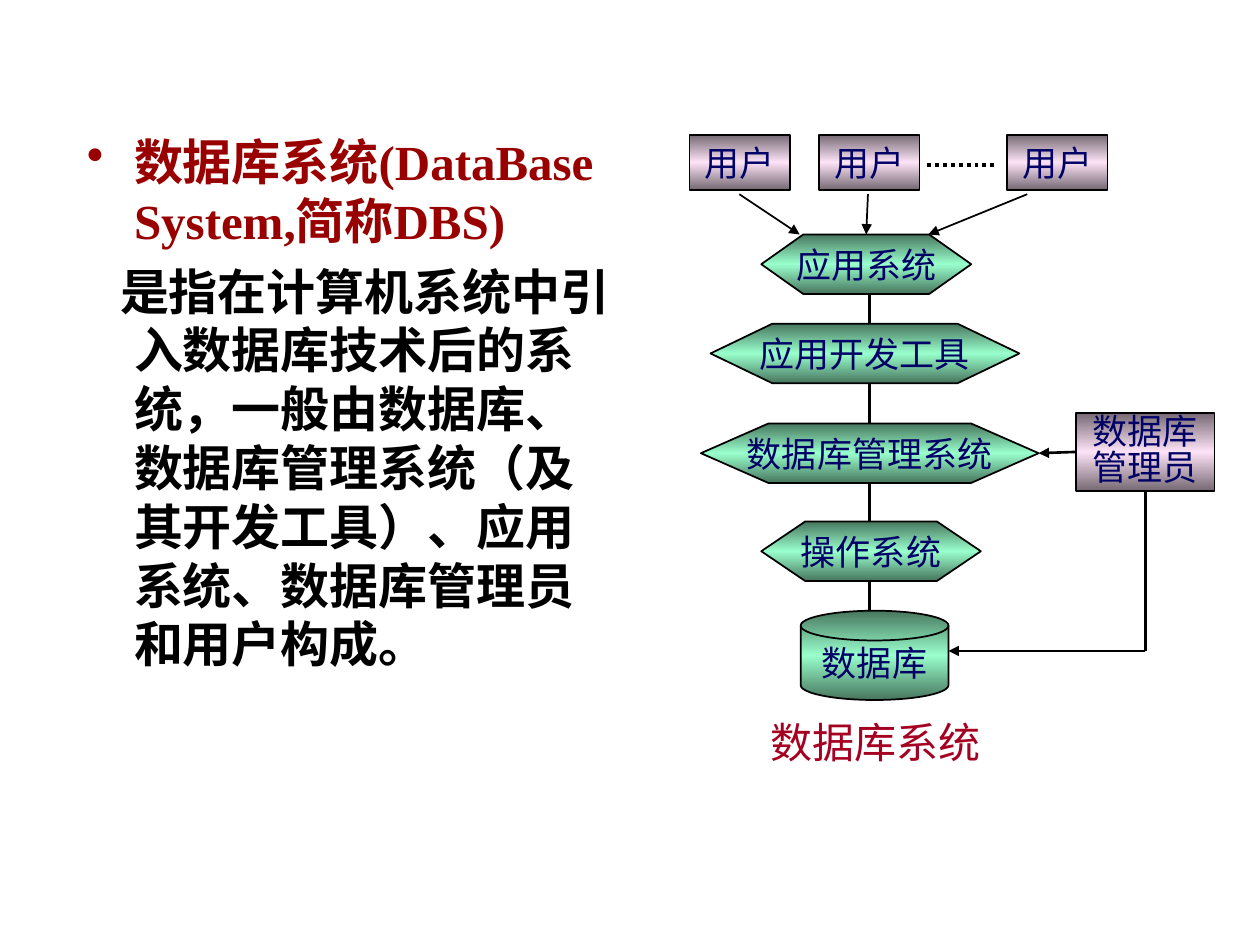
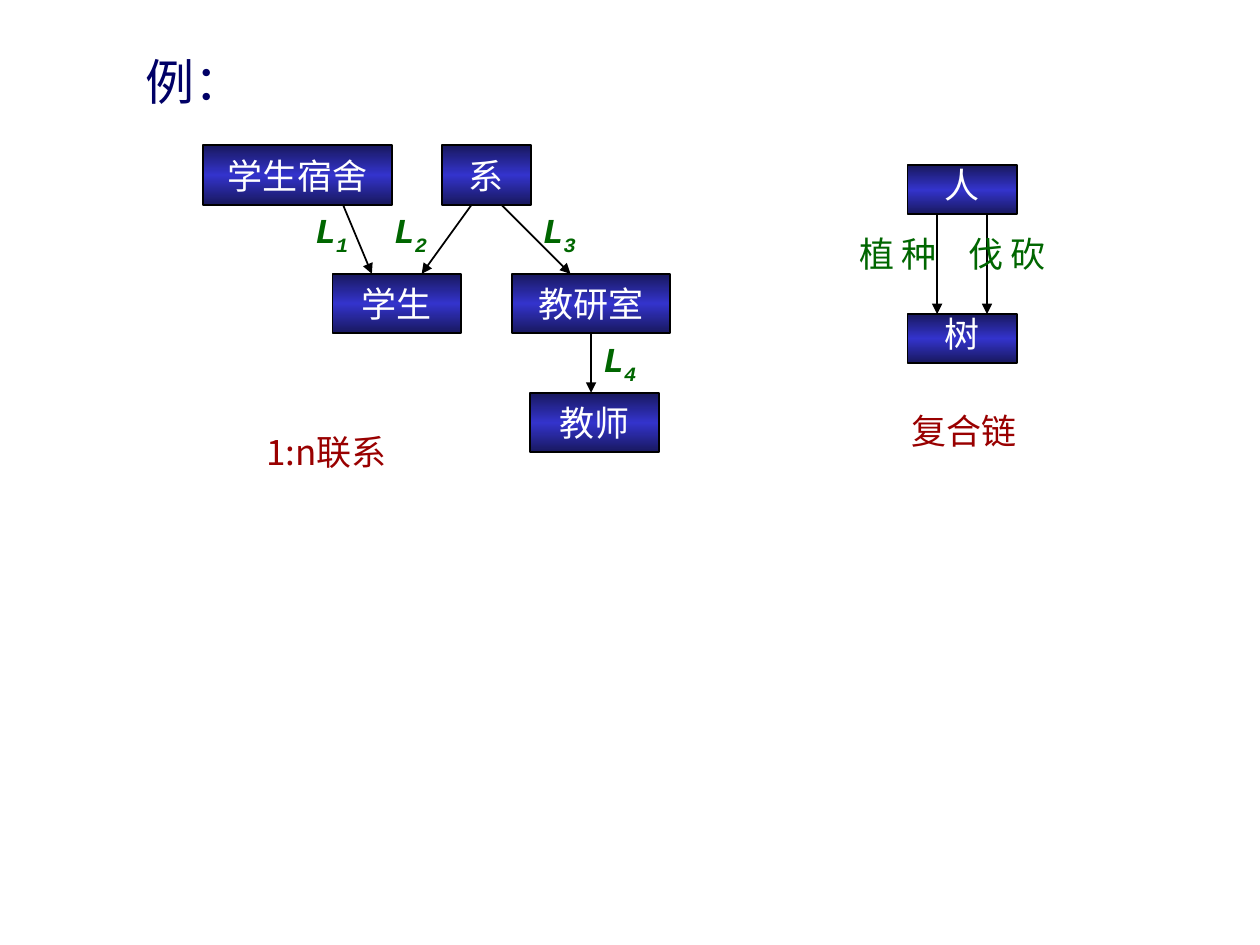
from copy import deepcopy

from lxml.etree import SubElement
from pptx import Presentation
from pptx.dml.color import RGBColor
from pptx.enum.dml import MSO_LINE
from pptx.enum.shapes import MSO_CONNECTOR, MSO_SHAPE
from pptx.enum.text import MSO_ANCHOR, PP_ALIGN
from pptx.oxml.ns import qn
from pptx.util import Pt

BLACK, WHITE, NAVY = "000000", "FFFFFF", "000066"
RED, CRIMSON, GREEN = "990000", "A50021", "006600"
PINK_BAND = ("756972", "FDE3F7")
MINT_BAND = ("47765E", "99FFCC")
BLUE_BAND = ("18185E", "3333CC")
SERIF, MONO, HAN = "Times New Roman", "Courier New", "Noto Sans CJK SC"
LINE_FACTOR = 1.2


def colour(value):
    return RGBColor.from_string(value)


class DiagramDeck:
    """Holds the shared style and the slide being drawn; lengths are points."""

    def __init__(self):
        self.deck = Presentation()
        self.deck.slide_width, self.deck.slide_height = Pt(720), Pt(540)
        self.page = None

    def new_page(self):
        self.page = self.deck.slides.add_slide(self.deck.slide_layouts[6])
        self.page.background.fill.solid()
        self.page.background.fill.fore_color.rgb = colour(WHITE)

    def span(self, para, text, size, ink, font=MONO, bold=False, italic=False):
        span = para.add_run()
        span.text = text
        span.font.size = Pt(size)
        span.font.bold, span.font.italic = bold, italic
        span.font.color.rgb = colour(ink)
        span.font.name = font
        properties = span.font._element
        SubElement(properties, qn("a:ea"), typeface=HAN)
        para.line_spacing = Pt(size * LINE_FACTOR)
        return span

    def node(self, text, left, top, width, height, band, ink=NAVY,
             kind=MSO_SHAPE.RECTANGLE, lift=0):
        """Shape with a dark-light-dark gradient; lift raises its text."""
        shape = self.page.shapes.add_shape(
            kind, Pt(left), Pt(top), Pt(width), Pt(height))
        shape.shadow.inherit = False
        shape.fill.gradient()
        shape.fill.gradient_angle = 90
        stop_list = shape._element.spPr.find(".//" + qn("a:gsLst"))
        stop_list.append(deepcopy(stop_list[0]))
        dark, light = band
        for stop, position, tint in zip(
                shape.fill.gradient_stops, (0, 0.5, 1), (dark, light, dark)):
            stop.position = position
            stop.color.rgb = colour(tint)
        shape.line.color.rgb = colour(BLACK)
        shape.line.width = Pt(1)
        frame = shape.text_frame
        frame.word_wrap = False
        frame.vertical_anchor = MSO_ANCHOR.MIDDLE
        frame.margin_top = frame.margin_left = frame.margin_right = 0
        frame.margin_bottom = Pt(2 * lift)
        for index, words in enumerate(text.split("\n")):
            para = frame.add_paragraph() if index else frame.paragraphs[0]
            para.alignment = PP_ALIGN.CENTER
            self.span(para, words, 20, ink)
        return shape

    def text_box(self, left, top, width, height, wrap=False):
        box = self.page.shapes.add_textbox(
            Pt(left), Pt(top), Pt(width), Pt(height))
        box.text_frame.word_wrap = wrap
        return box

    def label(self, text, left, top, width, height, ink, size=20, font=MONO):
        frame = self.text_box(left, top, width, height).text_frame
        frame.vertical_anchor = MSO_ANCHOR.MIDDLE
        self.span(frame.paragraphs[0], text, size, ink, font)

    def link_label(self, number, left, top):
        frame = self.text_box(left, top, 40, 34.5).text_frame
        frame.vertical_anchor = MSO_ANCHOR.MIDDLE
        para = frame.paragraphs[0]
        self.span(para, "L", 20, GREEN, bold=True, italic=True)
        index = self.span(para, str(number), 20, GREEN, bold=True, italic=True)
        index.font._element.set("baseline", "-25000")

    def vertical_label(self, text, left, top):
        frame = self.text_box(left, top, 55.5, 51, wrap=True).text_frame
        frame.margin_left = frame.margin_right = Pt(3.6)
        frame.margin_top = frame.margin_bottom = Pt(7.2)
        frame._txBody.bodyPr.set("vert", "eaVert")
        frame.paragraphs[0].alignment = PP_ALIGN.CENTER
        self.span(frame.paragraphs[0], text, 20, GREEN)

    def definition(self, term, meaning):
        """Red bulleted term, then its explanation hanging below."""
        frame = self.text_box(42.5, 71.5, 317.5, 419.5, wrap=True).text_frame
        head, body = frame.paragraphs[0], frame.add_paragraph()
        for para, first_line in ((head, -27), (body, -8)):
            properties = para._p.get_or_add_pPr()
            properties.set("marL", str(Pt(27)))
            properties.set("indent", str(Pt(first_line)))
        bullet = head._p.get_or_add_pPr()
        bullet_colour = SubElement(bullet, qn("a:buClr"))
        SubElement(bullet_colour, qn("a:srgbClr"), val=RED)
        SubElement(bullet, qn("a:buChar"), char="•")
        body.space_before = Pt(7)
        self.span(head, term, 28, RED, SERIF, bold=True)
        self.span(body, meaning, 28, BLACK, SERIF, bold=True)

    def line(self, start, end, width=1, arrow=True):
        line = self.page.shapes.add_connector(
            MSO_CONNECTOR.STRAIGHT, *(Pt(value) for value in start + end))
        line.line.color.rgb = colour(BLACK)
        line.line.width = Pt(width)
        if arrow:
            SubElement(line.line._get_or_add_ln(), qn("a:tailEnd"),
                       type="triangle")
        SubElement(line._element.spPr, qn("a:effectLst"))
        return line


def draw_database_system(deck):
    deck.new_page()
    deck.definition(
        "数据库系统(DataBase System,简称DBS)",
        "是指在计算机系统中引入数据库技术后的系统，一般由数据库、"
        "数据库管理系统（及其开发工具）、应用系统、数据库管理员和用户构成。")
    spine, store_level = 497, 372
    deck.line((spine, 162), (spine, store_level), 1.5, arrow=False)

    for left in (394, 468, 575.5):
        deck.node("用户", left, 77, 57.5, 31.5, PINK_BAND)
    more_users = deck.line((530, 94.5), (569.5, 94.5), 2.25, arrow=False)
    more_users.line.dash_style = MSO_LINE.ROUND_DOT

    layers = {}
    for name, left, top, width in (
            ("应用系统", 435, 134, 120), ("应用开发工具", 406, 185, 176.5),
            ("数据库管理系统", 400.5, 242, 193), ("操作系统", 435, 298, 125.5)):
        layers[name] = deck.node(name, left, top, width, 34, MINT_BAND,
                                 kind=MSO_SHAPE.FLOWCHART_PREPARATION)
    deck.node("数据库", 457.5, 349, 84.5, 51, MINT_BAND,
              kind=MSO_SHAPE.FLOWCHART_MAGNETIC_DISK)

    user_links = [deck.line((start, 111), (end, 134)) for start, end in (
        (422.5, 457), (496, spine), (587, 530.5))]
    user_links[1].end_connect(layers["应用系统"], 0)

    admin = deck.node("数据库\n管理员", 615, 236, 79, 44.5, PINK_BAND)
    for para in admin.text_frame.paragraphs:
        para.line_spacing = Pt(20.5)
    manage = deck.line((615, 258), (593.5, 259), 1.5)
    manage.begin_connect(admin, 1)
    manage.end_connect(layers["数据库管理系统"], 3)
    drop = deck.line((654.5, 280.5), (654.5, store_level), 1.5, arrow=False)
    drop.begin_connect(admin, 2)
    deck.line((654.5, store_level), (542, store_level), 1.5)
    deck.label("数据库系统", 433.5, 406, 136, 36, CRIMSON, size=24)


def draw_link_examples(deck):
    deck.new_page()
    deck.label("例：", 76, 26, 85, 41, NAVY, size=28)

    records = {}
    for name, left, top, width in (
            ("学生宿舍", 116, 83, 108), ("系", 252.5, 83, 51),
            ("学生", 190, 156.5, 73.5), ("教研室", 292.5, 156.5, 90.5),
            ("教师", 303, 224.5, 73.5)):
        records[name] = deck.node(name, left, top, width, 34, BLUE_BAND, WHITE)
    for start, end in ((196, 212.5), (269.5, 241), (286.5, 326)):
        deck.line((start, 117), (end, 156.5))
    teaching = deck.line((337.75, 190.5), (337.75, 224.5))
    teaching.begin_connect(records["教研室"], 2)
    for number, (left, top) in enumerate(
            ((173, 117), (218, 117), (303, 117), (337.5, 191)), start=1):
        deck.link_label(number, left, top)
    deck.label("1:n联系", 145, 242, 96.5, 31.5, RED, font=HAN)

    for name, top in (("人", 94.5), ("树", 179.5)):
        deck.node(name, 518.5, top, 62.5, 28, BLUE_BAND, WHITE, lift=3)
    for action, left, link in (("种植", 484.5, 535.5), ("砍伐", 547, 564)):
        deck.line((link, 122.5), (link, 179.5))
        deck.vertical_label(action, left, 128)
    deck.label("复合链", 513.5, 230.5, 79, 31.5, RED)


def main():
    deck = DiagramDeck()
    draw_database_system(deck)
    draw_link_examples(deck)
    deck.deck.save("out.pptx")


if __name__ == "__main__":
    main()
